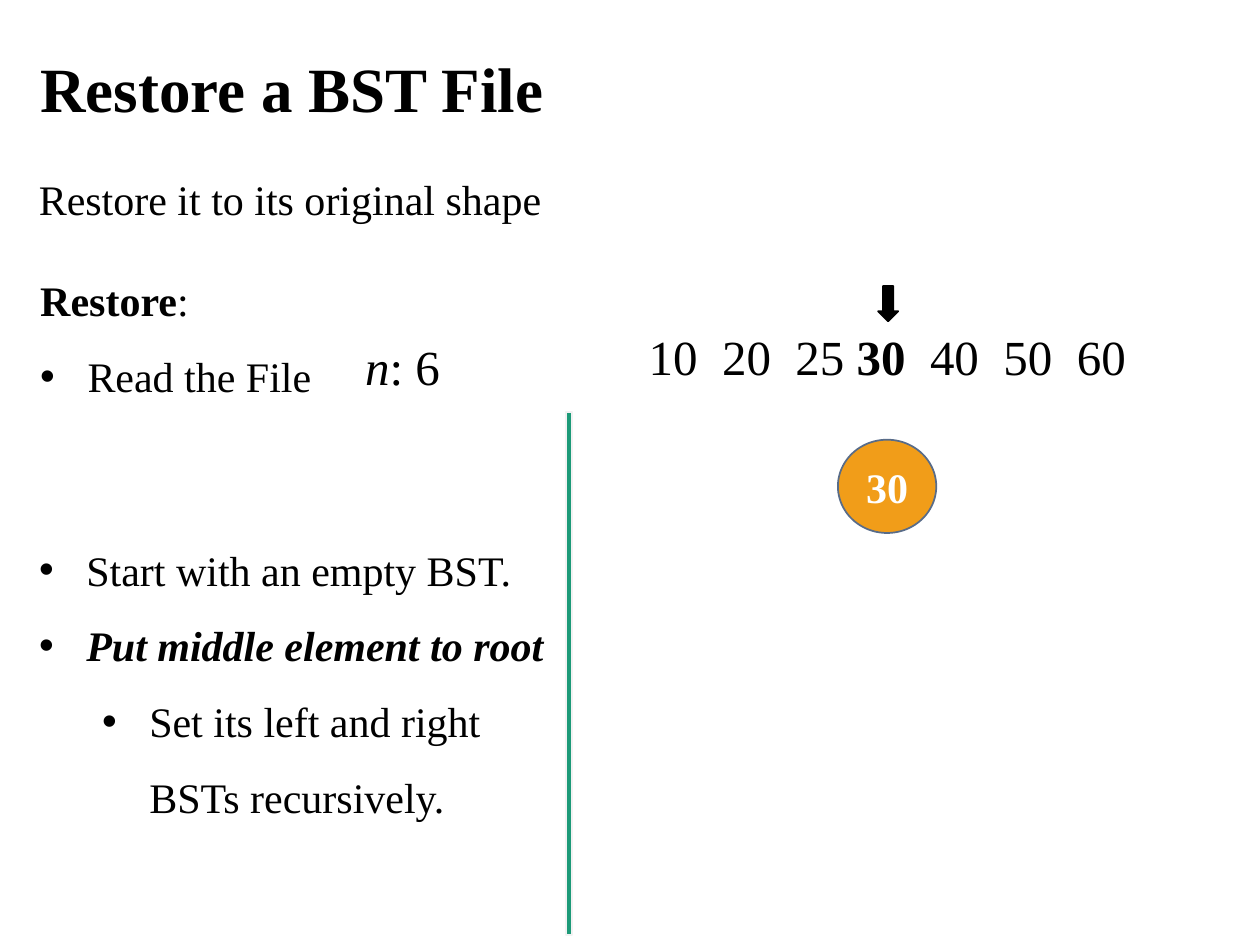
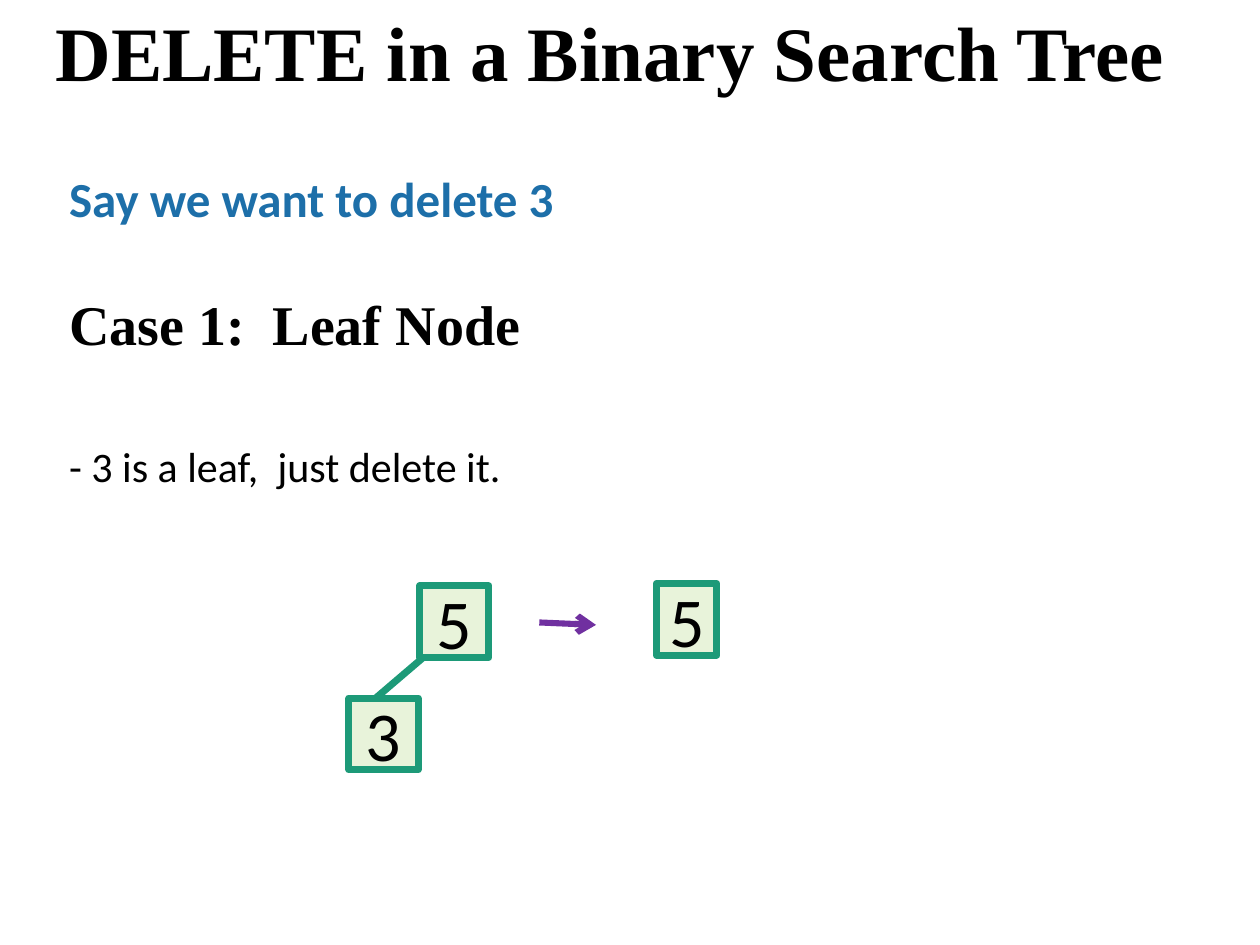
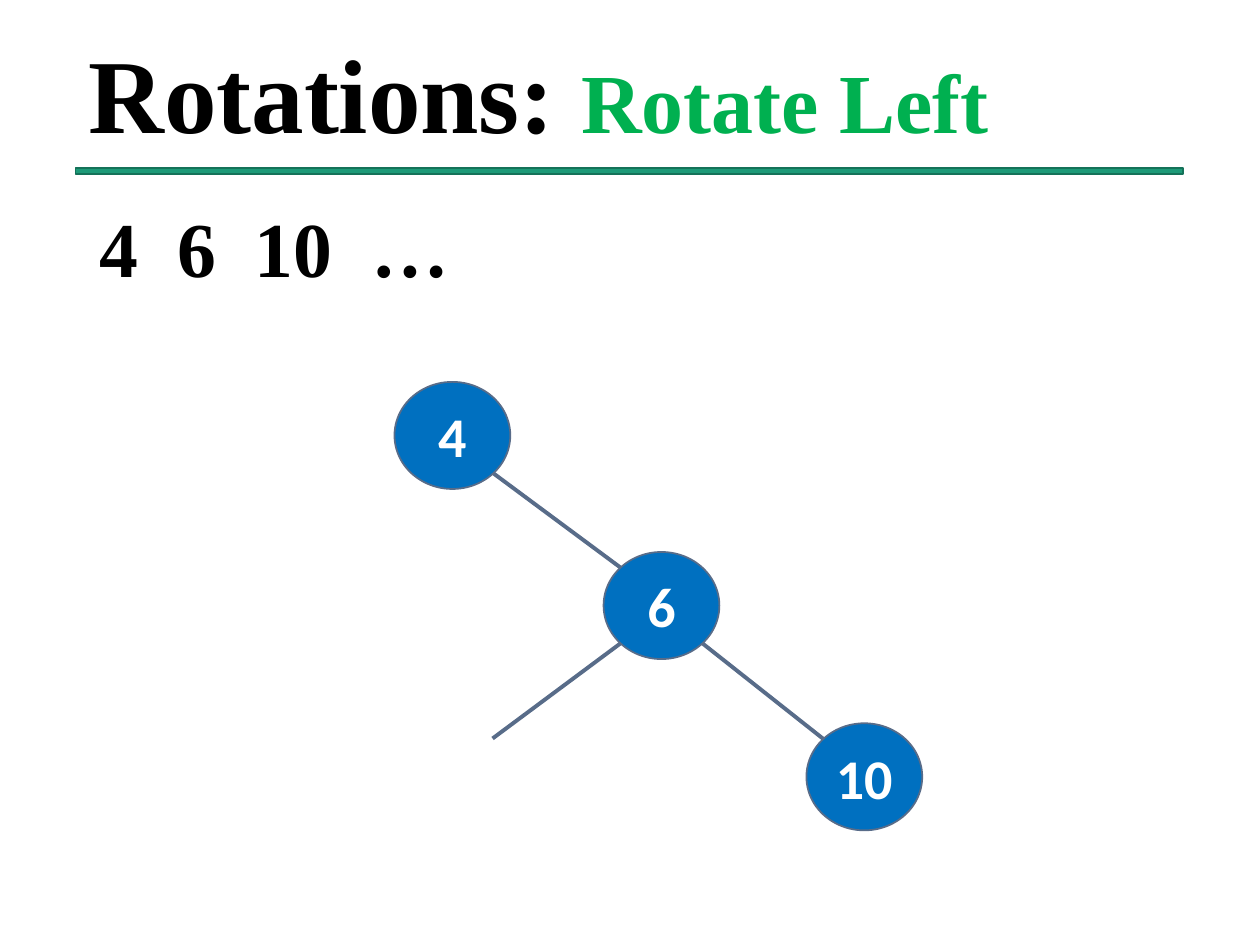
import math
from collections.abc import Sequence
from dataclasses import dataclass
from typing import Any, NamedTuple, Optional

import lxml.etree
import pptx
import pptx.dml.color
import pptx.enum.shapes
import pptx.enum.text
import pptx.oxml.ns
import pptx.slide
import pptx.util

Pt = pptx.util.Pt
qn = pptx.oxml.ns.qn
SHAPE = pptx.enum.shapes.MSO_SHAPE
ALIGN = pptx.enum.text.PP_ALIGN
ANCHOR = pptx.enum.text.MSO_ANCHOR

# Shared style
SERIF, SANS = "Times New Roman", "Calibri"
BLACK, WHITE = "000000", "FFFFFF"
GREEN, SLATE = "1D9A78", "586C89"
ORANGE, BLUE, PALE = "F19D19", "0070C0", "E8F3DA"
TITLE_ONLY, TITLE_BODY, TWO_BODIES = 5, 1, 3
HANG = 27


class Box(NamedTuple):
    left: float
    top: float
    width: float
    height: float

    def at_angle(self, degrees: float) -> tuple[float, float]:
        """Point on the inscribed ellipse, clockwise from the right."""
        a = math.radians(degrees)
        return (self.left + self.width / 2 * (1 + math.cos(a)),
                self.top + self.height / 2 * (1 + math.sin(a)))


@dataclass
class Run:
    text: str
    bold: Optional[bool] = None
    italic: Optional[bool] = None
    size: Optional[float] = None
    color: Optional[str] = None


@dataclass
class Para:
    runs: Sequence[Run]
    indent: float = 0  # left edge of bulleted text; 0 means no bullet
    level: int = 0


@dataclass
class Node:
    text: str
    box: Box


def rgb(color: str) -> pptx.dml.color.RGBColor:
    return pptx.dml.color.RGBColor.from_string(color)


# Text
def set_bullet(p: Any, indent: float) -> None:
    pPr = p._p.get_or_add_pPr()
    pPr.set("marL", str(Pt(indent)))
    pPr.set("indent", str(Pt(-HANG if indent else 0)))
    if indent:
        lxml.etree.SubElement(pPr, qn("a:buFont"), typeface="Arial")
        lxml.etree.SubElement(pPr, qn("a:buChar"), char="•")
    else:
        lxml.etree.SubElement(pPr, qn("a:buNone"))


def write(tf: Any, content: str | Sequence[Para], *, size: float,
          font: str = SERIF, color: str = BLACK, bold: bool = False,
          align: Any = ALIGN.LEFT, anchor: Any = ANCHOR.TOP,
          spacing: float = 1.0, inset: Optional[float] = None) -> None:
    tf.auto_size = pptx.enum.text.MSO_AUTO_SIZE.NONE
    tf.word_wrap = True
    tf.vertical_anchor = anchor
    if inset is not None:
        tf.margin_left = tf.margin_right = Pt(inset)
        tf.margin_top = tf.margin_bottom = Pt(inset)
    paras = [Para([Run(content)])] if isinstance(content, str) else content
    for i, para in enumerate(paras):
        p = tf.add_paragraph() if i else tf.paragraphs[0]
        set_bullet(p, para.indent)
        p.level = para.level
        p.alignment = align
        p.line_spacing = spacing
        p.space_before = p.space_after = Pt(0)
        for run in para.runs:
            r = p.add_run()
            r.text = run.text
            r.font.name = font
            r.font.size = Pt(run.size or size)
            r.font.bold = bold if run.bold is None else run.bold
            r.font.italic = bool(run.italic)
            r.font.color.rgb = rgb(run.color or color)


def fill_placeholder(sp: Any, box: Box, content: str | Sequence[Para],
                     **style: Any) -> None:
    sp.left, sp.top, sp.width, sp.height = (Pt(v) for v in box)
    write(sp.text_frame, content, **style)


def set_title(s: pptx.slide.Slide, box: Box, content: str | Sequence[Para],
              size: float) -> None:
    fill_placeholder(s.shapes.title, box, content, size=size, bold=True,
                     anchor=ANCHOR.MIDDLE, spacing=0.9)


def add_text(s: pptx.slide.Slide, box: Box, content: str | Sequence[Para],
             **style: Any) -> None:
    sp = s.shapes.add_textbox(*(Pt(v) for v in box))
    write(sp.text_frame, content, **style)


# Shapes
def add_shape(s: pptx.slide.Slide, kind: Any, box: Box, fill: str,
              line: Optional[str] = None, weight: float = 1) -> Any:
    sp = s.shapes.add_shape(kind, *(Pt(v) for v in box))
    sp.shadow.inherit = False
    sp.fill.solid()
    sp.fill.fore_color.rgb = rgb(fill)
    if line:
        sp.line.color.rgb = rgb(line)
        sp.line.width = Pt(weight)
    else:
        sp.line.fill.background()
    return sp


def add_node(s: pptx.slide.Slide, node: Node, *, kind: Any = SHAPE.OVAL,
             fill: str, line: str = SLATE, weight: float = 1,
             **style: Any) -> None:
    sp = add_shape(s, kind, node.box, fill, line, weight)
    write(sp.text_frame, node.text, align=ALIGN.CENTER,
          anchor=ANCHOR.MIDDLE, **style)


def add_line(s: pptx.slide.Slide, start: tuple[float, float],
             end: tuple[float, float], color: str, weight: float,
             arrow: bool = False) -> None:
    c = s.shapes.add_connector(pptx.enum.shapes.MSO_CONNECTOR.STRAIGHT,
                               *(Pt(v) for v in (*start, *end)))
    c.line.color.rgb = rgb(color)
    c.line.width = Pt(weight)
    if arrow:
        lxml.etree.SubElement(c.line._get_or_add_ln(), qn("a:tailEnd"),
                              type="arrow")
    lxml.etree.SubElement(c._element.spPr, qn("a:effectLst"))


# Slides
def restore_slide(prs: Any) -> None:
    s = prs.slides.add_slide(prs.slide_layouts[TWO_BODIES])
    _, restore, steps = s.placeholders
    set_title(s, Box(15.8, 25.9, 654.5, 54), "Restore a BST File", 36)
    add_text(s, Box(15.1, 88.6, 648, 54), "Restore it to its original shape",
             size=24, anchor=ANCHOR.MIDDLE, spacing=0.9)

    # Instructions
    fill_placeholder(restore, Box(15.8, 139, 298, 89.3), [
        Para([Run("Restore", bold=True), Run(":")]),
        Para([Run("Read the File")], HANG),
    ], size=24, spacing=1.5)
    fill_placeholder(steps, Box(15.1, 293, 308.2, 176.4), [
        Para([Run("Start with an empty BST.")], HANG),
        Para([Run("Put middle element to root", True, True)], HANG),
        Para([Run("Set its left and right BSTs recursively.")], HANG + 36, 1),
    ], size=24, spacing=1.5)
    add_text(s, Box(201.6, 188.6, 68.4, 41),
             [Para([Run("n", italic=True), Run(": 6")])], size=28)

    # File contents and the root taken from their middle
    numbers = add_shape(s, SHAPE.RECTANGLE, Box(363.6, 182.9, 298, 41), WHITE)
    write(numbers.text_frame, [Para([
        Run("10  20  25 "), Run("30", bold=True), Run("  40  50  60"),
    ])], size=28)
    add_shape(s, SHAPE.RECTANGLE, Box(323.3, 235.4, 3.6, 298.8), GREEN,
              "F2F2F2")
    add_shape(s, SHAPE.DOWN_ARROW, Box(501.8, 163.4, 11.5, 20.2), BLACK, BLACK)
    add_node(s, Node("30", Box(478.8, 251.3, 56.2, 53.3)), fill=ORANGE,
             size=24, color=WHITE, bold=True)


def delete_slide(prs: Any) -> None:
    s = prs.slides.add_slide(prs.slide_layouts[TITLE_ONLY])
    set_title(s, Box(24.5, 2.2, 673.2, 59.8),
              "DELETE in a Binary Search Tree", 44)
    left = 32.4
    add_text(s, Box(left, 92.9, 311, 41), "Say we want to delete 3",
             size=28, font=SANS, color="1D6FA9", bold=True)
    add_text(s, Box(left, 162, 396, 46), "Case 1:  Leaf Node",
             size=32, bold=True)
    add_text(s, Box(left, 248.4, 360, 36), "- 3 is a leaf,  just delete it.",
             size=24, font=SANS)

    # Tree before and after
    add_line(s, (243.4, 374.4), (213.1, 400.3), GREEN, 4)
    for node in (Node("3", Box(199.4, 398.9, 39.6, 41)),
                 Node("5", Box(239.8, 334.8, 39.6, 41)),
                 Node("5", Box(375.1, 333.4, 34.6, 41))):
        add_node(s, node, kind=SHAPE.RECTANGLE, fill=PALE, line=GREEN,
                 weight=4, size=40, font=SANS)
    add_line(s, (308.2, 355.7), (340.6, 357.1), "7030A0", 3.5, arrow=True)


def rotate_slide(prs: Any) -> None:
    s = prs.slides.add_slide(prs.slide_layouts[TITLE_BODY])
    set_title(s, Box(43.2, 18.7, 635.8, 76.3), [Para([
        Run("Rotations: "), Run("Rotate Left", size=48, color="00B050"),
    ])], 60)
    fill_placeholder(s.placeholders[1], Box(49.7, 121, 252.7, 51),
                     "4  6  10  …", size=44.4, bold=True, spacing=0.8)
    add_shape(s, SHAPE.RECTANGLE, Box(43.2, 95.8, 632.9, 3.6), GREEN, "157259")

    # Right-leaning tree, with an open left branch below 6
    nodes = [Node(text, Box(x, y, 66.2, 61.2)) for text, x, y in
             (("4", 225.4, 218.2), ("6", 344.9, 315.4), ("10", 460.8, 413.3))]
    edges = [(a.box.at_angle(45), b.box.at_angle(225))
             for a, b in zip(nodes, nodes[1:])]
    edges.append((nodes[1].box.at_angle(135), (281.5, 422)))
    for start, end in edges:
        add_line(s, start, end, SLATE, 2.25)
    for node in nodes:
        add_node(s, node, fill=BLUE, size=32, font=SANS, color=WHITE,
                 bold=True, inset=0)


def main() -> None:
    prs = pptx.Presentation()
    prs.slide_width, prs.slide_height = Pt(720), Pt(540)
    for build in (restore_slide, delete_slide, rotate_slide):
        build(prs)
    prs.save("out.pptx")


if __name__ == "__main__":
    main()
